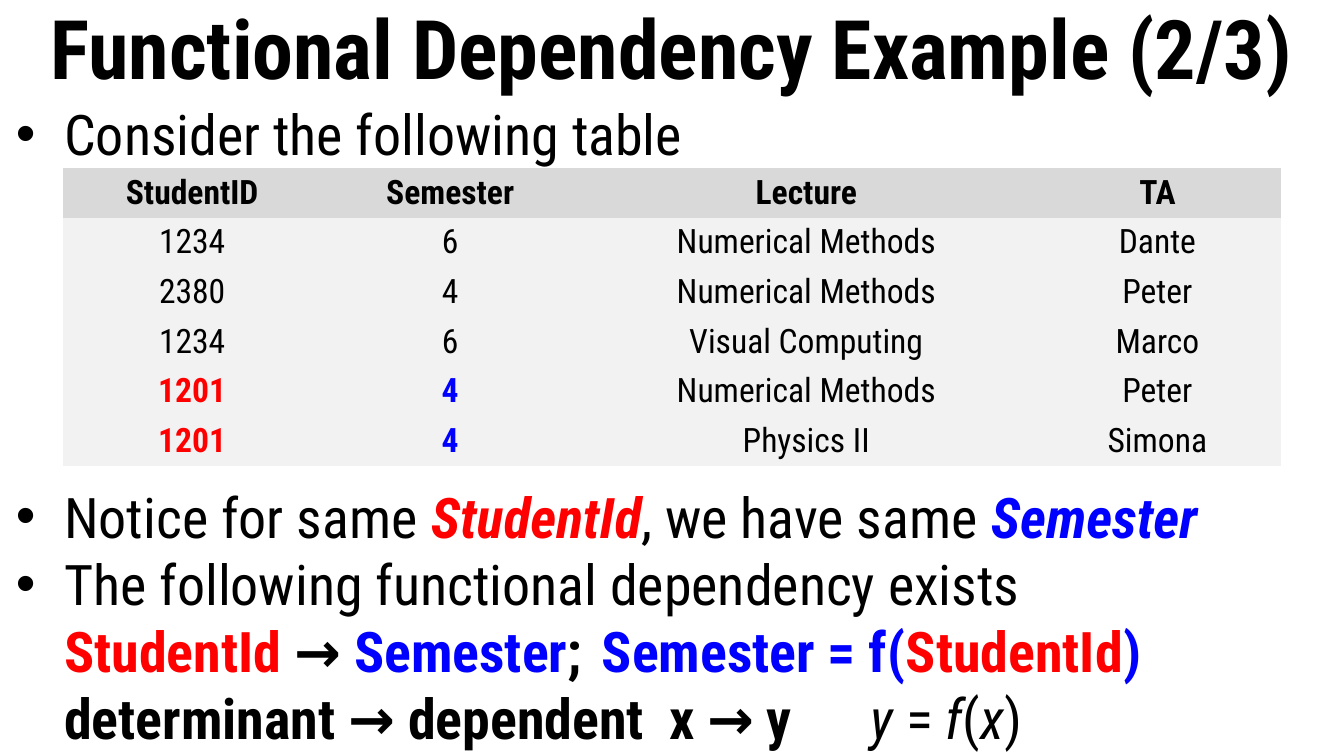
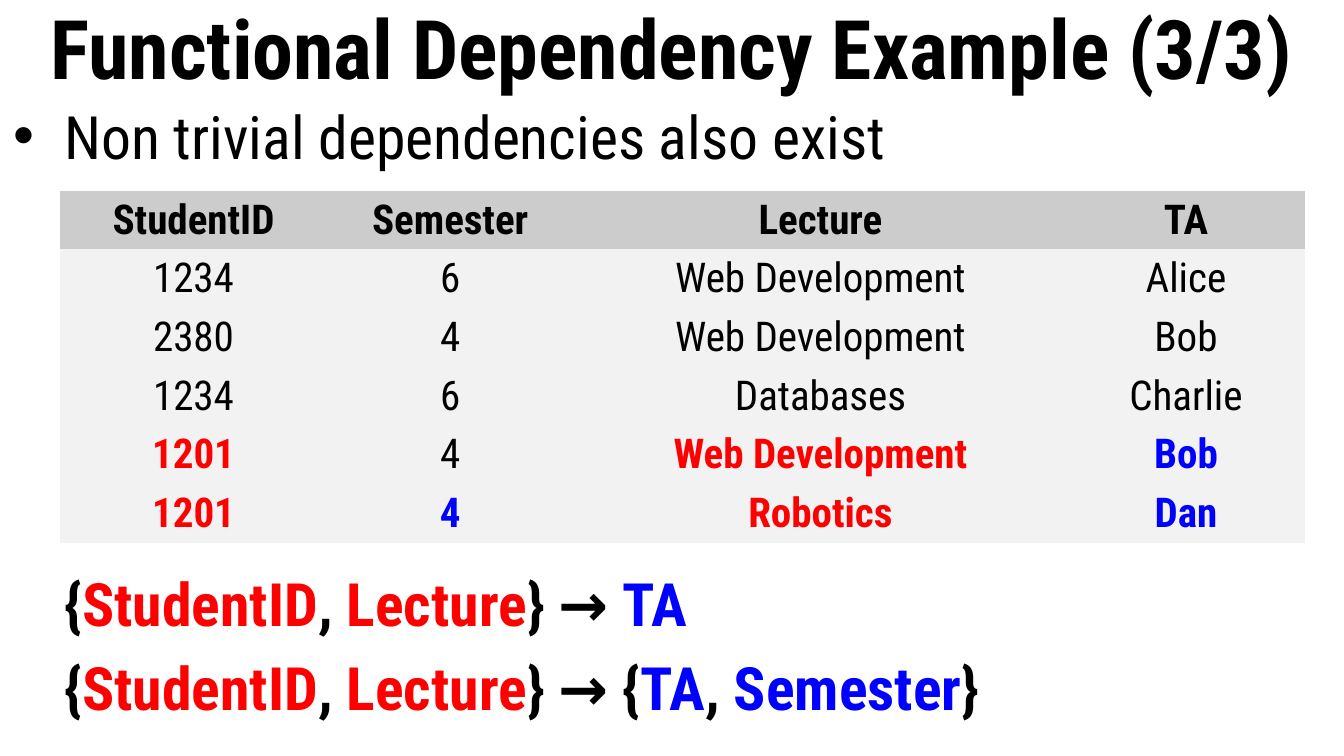
import dataclasses

import pptx
import pptx.dml.color
import pptx.enum.text
import pptx.oxml.ns
import pptx.util
from lxml import etree

PX = 4572  # EMU in one px, 200 px to the inch
WIDE, HIGH = 2000, 1125
HEAD = 138  # height of the title band
NO_GRID = "{2D5ABB26-0587-4C30-8999-92F81FD0307C}"


@dataclasses.dataclass(frozen=True)
class Theme:
    font: str = "Roboto Condensed"
    ink: str = "000000"
    red: str = "FF0000"
    blue: str = "0000FF"
    paper: str = "FFFFFF"
    row: str = "F2F2F2"
    light: str = "D9D9D9"
    dark: str = "CCCCCC"
    title: int = 44


def px(n):
    return pptx.util.Emu(n * PX)


def rgb(code):
    return pptx.dml.color.RGBColor.from_string(code)


class Deck:
    """Holds the style and the current slide."""

    def __init__(self, theme):
        self.theme = theme
        self.file = pptx.Presentation()
        self.file.slide_width, self.file.slide_height = px(WIDE), px(HIGH)
        self.slide = None

    def style(self, run, size, color=None, bold=False, italic=False):
        font = run.font
        font.name, font.size = self.theme.font, pptx.util.Pt(size)
        font.bold, font.italic = bold, italic
        font.color.rgb = rgb(color or self.theme.ink)

    def place(self, shape, left, top, width, height):
        shape.left, shape.top = px(left), px(top)
        shape.width, shape.height = px(width), px(height)

    def start(self, text):
        """Add a slide with its title."""
        self.slide = self.file.slides.add_slide(self.file.slide_layouts[5])
        fill = self.slide.background.fill
        fill.solid()
        fill.fore_color.rgb = rgb(self.theme.paper)
        title = self.slide.shapes.title
        self.place(title, 0, 0, WIDE, HEAD)
        frame = title.text_frame
        frame.text = text
        frame.auto_size = pptx.enum.text.MSO_AUTO_SIZE.NONE
        frame.vertical_anchor = pptx.enum.text.MSO_ANCHOR.MIDDLE
        para = frame.paragraphs[0]
        para.alignment = pptx.enum.text.PP_ALIGN.CENTER
        self.style(para.runs[0], self.theme.title, bold=True)

    def body(self):
        """Add the text area below the title."""
        box = self.slide.shapes.add_textbox(
            px(0), px(HEAD), px(WIDE), px(HIGH - HEAD))
        box.text_frame.word_wrap = True
        return box.text_frame

    def line(self, frame, parts, size, hang=0, gap=0):
        """Add a paragraph of (text, style) parts; a hang gives it a bullet."""
        para = frame.paragraphs[0]
        if para.runs:
            para = frame.add_paragraph()
        para.space_before = pptx.util.Pt(gap)
        props = para._p.get_or_add_pPr()
        props.set("marL", str(px(76)))
        props.set("indent", str(px(-hang)))
        tag = pptx.oxml.ns.qn
        if hang:
            color = etree.SubElement(props, tag("a:buClr"))
            etree.SubElement(color, tag("a:srgbClr"), val=self.theme.ink)
            etree.SubElement(props, tag("a:buFont"), typeface="Arial")
            etree.SubElement(props, tag("a:buChar"), char="•")
        else:
            etree.SubElement(props, tag("a:buNone"))
        for text, look in parts:
            run = para.add_run()
            run.text = text
            self.style(run, size, **look)

    def table(self, left, top, cols, high, rows, size, head):
        """Add a table; a cell is a text or a (text, colour) pair in bold."""
        frame = self.slide.shapes.add_table(
            len(rows), len(cols), px(left), px(top),
            px(sum(cols)), px(high * len(rows)))
        table = frame.table
        table.first_row = table.horz_banding = False
        name = table._tbl.tblPr.find(pptx.oxml.ns.qn("a:tableStyleId"))
        name.text = NO_GRID
        for col, width in zip(table.columns, cols):
            col.width = px(width)
        for r, row in enumerate(rows):
            for c, item in enumerate(row):
                text, color = (item, None) if isinstance(item, str) else item
                cell = table.cell(r, c)
                cell.text = text
                cell.fill.solid()
                cell.fill.fore_color.rgb = rgb(head if r == 0 else self.theme.row)
                cell.vertical_anchor = pptx.enum.text.MSO_ANCHOR.MIDDLE
                cell.margin_top = cell.margin_bottom = px(7)
                para = cell.text_frame.paragraphs[0]
                para.alignment = pptx.enum.text.PP_ALIGN.CENTER
                bold = r == 0 or color is not None
                self.style(para.runs[0], size, color, bold)


THEME = Theme()
PLAIN = {}
BOLD = {"bold": True}
ITAL = {"italic": True}
RED = {"color": THEME.red, "bold": True}
BLUE = {"color": THEME.blue, "bold": True}
FIELDS = ["StudentID", "Semester", "Lecture", "TA"]


def red(text):
    return text, THEME.red


def blue(text):
    return text, THEME.blue


def single(deck):
    """One determinant: StudentId gives Semester."""
    deck.start("Functional Dependency Example (2/3)")
    size = 30
    text = deck.body()
    deck.line(text, [("Consider the following table", PLAIN)], size, hang=72)
    # The gap leaves room for the table
    deck.line(text, [
        ("Notice for same ", PLAIN), ("StudentId", RED | ITAL),
        (", we have same ", PLAIN), ("Semester", BLUE | ITAL),
    ], size, hang=72, gap=169)
    deck.line(text, [("The following functional dependency exists", PLAIN)],
              size, hang=72)
    deck.line(text, [
        ("StudentId", RED), (" → ", BOLD), ("Semester", BLUE), (";", BOLD),
        ("\tSemester = f(", BLUE), ("StudentId", RED), (")", BLUE),
    ], size)
    deck.line(text, [
        ("determinant → dependent\tx → y\t\t", BOLD), ("y", ITAL),
        (" = ", PLAIN), ("f", ITAL), ("(", PLAIN), ("x", ITAL), (")", PLAIN),
    ], size)
    deck.table(94, 250, [384, 384, 676, 369], 74, [
        FIELDS,
        ["1234", "6", "Numerical Methods", "Dante"],
        ["2380", "4", "Numerical Methods", "Peter"],
        ["1234", "6", "Visual Computing", "Marco"],
        [red("1201"), blue("4"), "Numerical Methods", "Peter"],
        [red("1201"), blue("4"), "Physics II", "Simona"],
    ], 18, THEME.light)


def joint(deck):
    """Two determinants: StudentID with Lecture."""
    deck.start("Functional Dependency Example (3/3)")
    size = 32
    text = deck.body()
    deck.line(text, [("Non trivial dependencies also exist", PLAIN)],
              size, hang=76)
    pair = [("{", BOLD), ("StudentID", RED), (", ", BOLD), ("Lecture", RED)]
    # The first gap leaves room for the table
    deck.line(text, pair + [("} → ", BOLD), ("TA", BLUE)], size, gap=212)
    deck.line(text, pair + [
        ("} → {", BOLD), ("TA", BLUE), (", ", BOLD),
        ("Semester", BLUE), ("}", BOLD),
    ], size, gap=6.4)
    deck.table(90, 284, [396, 368, 734, 354], 87, [
        FIELDS,
        ["1234", "6", "Web Development", "Alice"],
        ["2380", "4", "Web Development", "Bob"],
        ["1234", "6", "Databases", "Charlie"],
        [red("1201"), "4", red("Web Development"), blue("Bob")],
        [red("1201"), blue("4"), red("Robotics"), blue("Dan")],
    ], 22, THEME.dark)


def main():
    deck = Deck(THEME)
    single(deck)
    joint(deck)
    deck.file.save("out.pptx")


if __name__ == "__main__":
    main()
